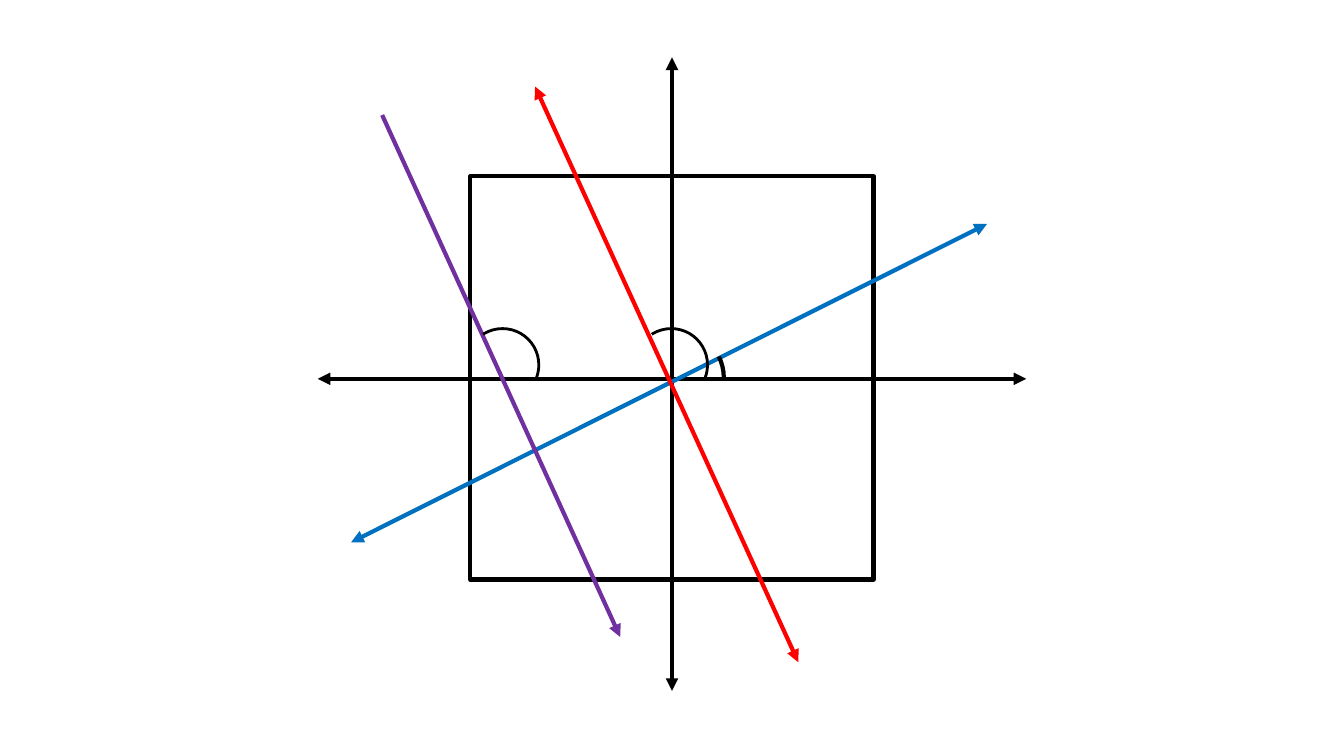
from lxml.etree import SubElement
from pptx import Presentation
from pptx.dml.color import RGBColor
from pptx.enum.shapes import MSO_CONNECTOR as Connector, MSO_SHAPE as Shape
from pptx.oxml.ns import qn
from pptx.util import Pt

BLACK, BLUE, RED, PURPLE = "000000", "0070C0", "FF0000", "7030A0"


def draw_outline(shape, colour, weight):
    shape.line.color.rgb = RGBColor.from_string(colour)
    shape.line.width = Pt(weight)


def add_unfilled(preset, left, top, width, height, weight):
    shape = slide.shapes.add_shape(preset, Pt(left), Pt(top), Pt(width), Pt(height))
    shape.shadow.inherit = False
    shape.fill.background()
    draw_outline(shape, BLACK, weight)
    return shape


deck = Presentation()
deck.slide_width, deck.slide_height = Pt(960), Pt(540)
slide = deck.slides.add_slide(deck.slide_layouts[6])

add_unfilled(Shape.RECTANGLE, 336, 126, 288, 288, 3)

# Start x, start y, end x, end y, colour, arrowheads (headEnd is at the start)
both_ends = ("headEnd", "tailEnd")
rays = [
    (227, 270.6, 733, 270.6, BLACK, both_ends),
    (480, 41, 480, 493.5, BLACK, both_ends),
    (705, 160, 250.8, 387.4, BLUE, both_ends),
    (382.2, 61.8, 570.2, 473, RED, both_ends),
    (273, 82.2, 443, 455, PURPLE, ("tailEnd",)),
]
for x1, y1, x2, y2, colour, arrow_ends in rays:
    ray = slide.shapes.add_connector(Connector.STRAIGHT, Pt(x1), Pt(y1), Pt(x2), Pt(y2))
    draw_outline(ray, colour, 3)
    for end in arrow_ends:
        SubElement(ray.line._get_or_add_ln(), qn(f"a:{end}"), type="triangle")
    SubElement(ray._element.spPr, qn("a:effectLst"))

# Left, top, width, height, start and end in degrees clockwise from the right, weight
angle_marks = [
    (442.8, 234.7, 74.2, 69.8, 336.1, 359.7, 3),
    (453.6, 234.7, 51.8, 51.8, 237.5, 20.1, 2),
    (333.1, 234.7, 51.8, 51.8, 237.5, 20.1, 2),
]
for left, top, width, height, start, end, weight in angle_marks:
    mark = add_unfilled(Shape.ARC, left, top, width, height, weight)
    # Adjustments count 60000ths of a degree in units of 100000
    mark.adjustments[0] = start * 0.6
    mark.adjustments[1] = end * 0.6

deck.save("out.pptx")
